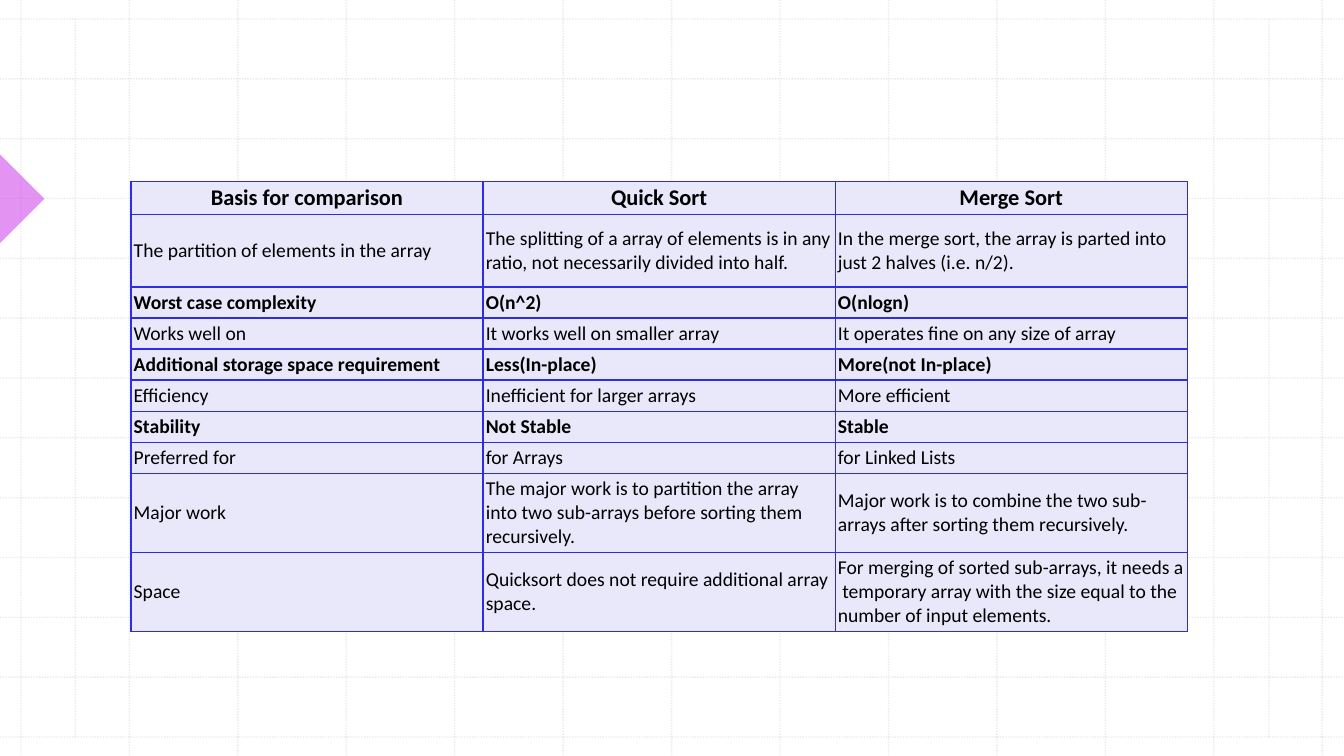
from lxml import etree
from pptx import Presentation
from pptx.dml.color import RGBColor
from pptx.enum.dml import MSO_LINE
from pptx.enum.shapes import MSO_CONNECTOR, MSO_SHAPE
from pptx.enum.text import MSO_ANCHOR, PP_ALIGN
from pptx.oxml.ns import qn
from pptx.util import Cm, Pt

COLOURS = {
    "grid": "BCBCBC",
    "marker": "C929E7",
    "cell": "E8E8FA",
    "border": "2E2CE7",
    "text": "000000",
}
PAGE_WIDTH, PAGE_HEIGHT = 33.87, 19.05
GRID_STEPS = 12

# Each row: height in cm, bold, three cell texts
ROWS = [
    (0.81, True, ("Basis for comparison", "Quick Sort", "Merge Sort")),
    (1.83, False, (
        "The partition of elements in the array",
        "The splitting of a array of elements is in any ratio, not necessarily divided into half.",
        "In the merge sort, the array is parted into just 2 halves (i.e. n/2).")),
    (0.78, True, ("Worst case complexity", "O(n^2)", "O(nlogn)")),
    (0.78, False, ("Works well on", "It works well on smaller array",
                   "It operates fine on any size of array")),
    (0.78, True, ("Additional storage space requirement", "Less(In-place)",
                  "More(not In-place)")),
    (0.78, False, ("Efficiency", "Inefficient for larger arrays", "More efficient")),
    (0.78, True, ("Stability", "Not Stable", "Stable")),
    (0.78, False, ("Preferred for", "for Arrays", "for Linked Lists")),
    (1.99, False, (
        "Major work ",
        "The major work is to partition the array into two sub-arrays before sorting them recursively.",
        "Major work is to combine the two sub-arrays after sorting them recursively.")),
    (1.99, False, (
        "Space ",
        "Quicksort does not require additional array space.",
        "For merging of sorted sub-arrays, it needs a  temporary array with the size equal to the number of input elements.")),
]


def colour(name):
    return RGBColor.from_string(COLOURS[name])


def set_alpha(element, percent):
    """Make the solid colour inside the element partly transparent."""
    for tint in element.iter(qn("a:srgbClr")):
        etree.SubElement(tint, qn("a:alpha"), val=str(percent * 1000))


def add_grid_line(page, x1, y1, x2, y2):
    line = page.shapes.add_connector(
        MSO_CONNECTOR.STRAIGHT, Cm(x1), Cm(y1), Cm(x2), Cm(y2))
    line.line.color.rgb = colour("grid")
    line.line.width = Pt(1)
    line.line.dash_style = MSO_LINE.ROUND_DOT
    properties = line.element.spPr
    set_alpha(properties, 30)
    etree.SubElement(properties, qn("a:effectLst"))


def add_grid(page, left, top, width, height):
    """Draw full-page lines evenly across the box, plus two inner margin lines."""
    right, bottom = left + width, top + height
    for step in range(GRID_STEPS + 1):
        x = left + width * step / GRID_STEPS
        y = top + height * step / GRID_STEPS
        add_grid_line(page, x, 0, x, PAGE_HEIGHT)
        add_grid_line(page, 0, y, PAGE_WIDTH, y)
    for x in (left + 1.37, right - 1.34):
        add_grid_line(page, x, top, x, bottom)


def add_marker(page, left, top, size):
    marker = page.shapes.add_shape(
        MSO_SHAPE.RIGHT_TRIANGLE, Cm(left), Cm(top), Cm(size), Cm(size))
    marker.rotation = 225
    marker.shadow.inherit = False
    marker.fill.solid()
    marker.fill.fore_color.rgb = colour("marker")
    set_alpha(marker.element.spPr, 50)
    marker.line.fill.background()


def add_borders(cell):
    properties = cell._tc.get_or_add_tcPr()
    for place, side in enumerate(("lnL", "lnR", "lnT", "lnB")):
        border = etree.Element(qn(f"a:{side}"), w=str(Pt(1)))
        fill = etree.SubElement(border, qn("a:solidFill"))
        etree.SubElement(fill, qn("a:srgbClr"), val=COLOURS["border"])
        properties.insert(place, border)


def fill_cell(cell, text, bold, header):
    cell.fill.solid()
    cell.fill.fore_color.rgb = colour("cell")
    add_borders(cell)
    cell.vertical_anchor = MSO_ANCHOR.MIDDLE
    cell.margin_left = cell.margin_right = Cm(0.07)
    cell.margin_top = cell.margin_bottom = Cm(0.07 if header else 0.09)
    cell.text_frame.text = text
    para = cell.text_frame.paragraphs[0]
    para.alignment = PP_ALIGN.CENTER if header else PP_ALIGN.LEFT
    for span in para.runs:
        span.font.name = "Calibri"
        span.font.size = Pt(16 if header else 14)
        span.font.bold = bold
        span.font.color.rgb = colour("text")


def add_comparison(page, left, top, width):
    height = sum(row_height for row_height, _, _ in ROWS)
    columns = len(ROWS[0][2])
    table = page.shapes.add_table(
        len(ROWS), columns, Cm(left), Cm(top), Cm(width), Cm(height)).table
    table.first_row = False
    table.horz_banding = False
    for column in table.columns:
        column.width = Cm(width / columns)
    for index, (row_height, bold, texts) in enumerate(ROWS):
        table.rows[index].height = Cm(row_height)
        for cell, text in zip(table.rows[index].cells, texts):
            fill_cell(cell, text, bold, header=index == 0)


def main():
    deck = Presentation()
    deck.slide_width, deck.slide_height = Cm(PAGE_WIDTH), Cm(PAGE_HEIGHT)
    page = deck.slides.add_slide(deck.slide_layouts[6])
    add_grid(page, 0.53, 0.48, 32.79, 18.09)
    add_marker(page, -0.79, 4.22, 1.58)
    add_comparison(page, 3.3, 4.57, 26.62)
    deck.save("out.pptx")


if __name__ == "__main__":
    main()
